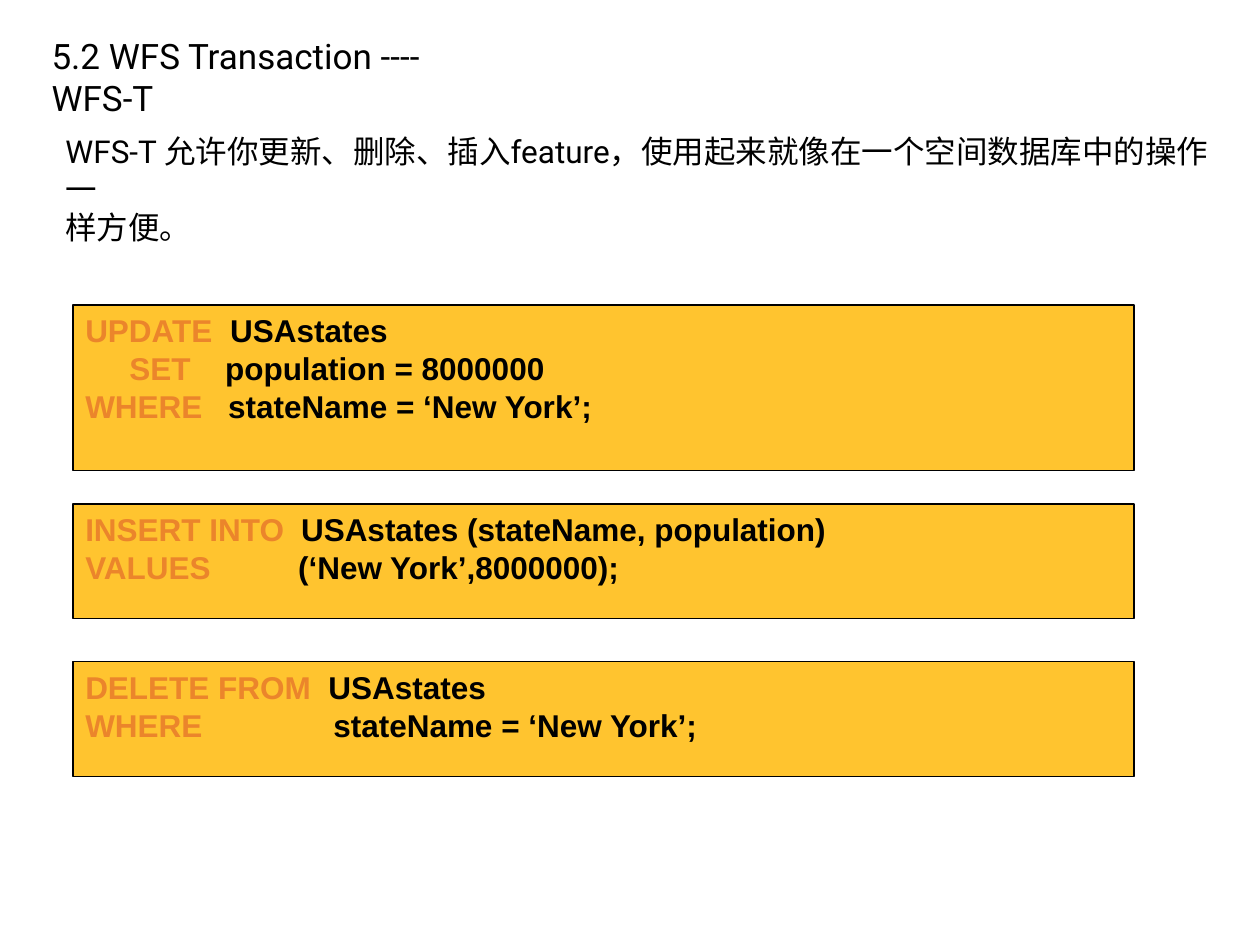
from dataclasses import dataclass

from lxml import etree
from pptx import Presentation
from pptx.dml.color import RGBColor
from pptx.enum import shapes, text
from pptx.oxml.ns import qn
from pptx.util import Cm, Pt


@dataclass(frozen=True)
class Theme:
    ink: str = "000000"
    keyword: str = "EB852B"
    panel: str = "FFC42F"
    heading_font: str = "Roboto"
    code_font: str = "Arial"
    title_size: int = 20
    body_size: int = 18
    line_width: float = 0.75


theme = Theme()

# Content: lengths in cm
title = ["5.2 WFS Transaction ----WFS-T"]
introduction = ["WFS-T 允许你更新、删除、插入feature，使用起来就像在一个空间数据库中的操作一", "样方便。"]

# Each statement: top, height, lines of (tab stops, keyword, rest)
statements = [
    (6.15, 3.33, [
        ([2.92], "UPDATE", "\tUSAstates"),
        ([0.89, 2.82], "\tSET", "\tpopulation = 8000000"),
        ([2.88], "WHERE", "\tstateName = ‘New York’;"),
    ]),
    (10.16, 2.31, [
        ([4.35], "INSERT INTO", "\tUSAstates (stateName, population)"),
        ([4.29], "VALUES", "\t(‘New York’,8000000);"),
    ]),
    (13.34, 2.31, [
        ([4.9], "DELETE FROM", "\tUSAstates"),
        ([5.0], "WHERE", "\tstateName = ‘New York’;"),
    ]),
]
PANEL_LEFT, PANEL_WIDTH = 1.47, 21.39


def add_run(paragraph, words, *, size, font, color=theme.ink, bold=False):
    run = paragraph.add_run()
    run.text = words
    run.font.size = Pt(size)
    run.font.name = font
    run.font.bold = bold
    run.font.color.rgb = RGBColor.from_string(color)


def set_tab_stops(paragraph, stops):
    properties = paragraph._p.get_or_add_pPr()
    tab_list = etree.SubElement(properties, qn("a:tabLst"))
    for stop in stops:
        etree.SubElement(tab_list, qn("a:tab"), pos=str(int(Cm(stop))), algn="l")


def prepare_paragraphs(shape, count):
    frame = shape.text_frame
    frame.word_wrap = True
    frame.vertical_anchor = text.MSO_ANCHOR.TOP
    for _ in range(count - 1):
        frame.add_paragraph()
    for paragraph in frame.paragraphs:
        paragraph.alignment = text.PP_ALIGN.LEFT
    return frame.paragraphs


def add_text_box(slide, lines, place, size):
    box = slide.shapes.add_textbox(*map(Cm, place))
    for paragraph, line in zip(prepare_paragraphs(box, len(lines)), lines):
        add_run(paragraph, line, size=size, font=theme.heading_font)


def add_statement(slide, top, height, lines):
    panel = slide.shapes.add_shape(
        shapes.MSO_SHAPE.RECTANGLE, Cm(PANEL_LEFT), Cm(top), Cm(PANEL_WIDTH), Cm(height))
    panel.shadow.inherit = False
    panel.fill.solid()
    panel.fill.fore_color.rgb = RGBColor.from_string(theme.panel)
    panel.line.color.rgb = RGBColor.from_string(theme.ink)
    panel.line.width = Pt(theme.line_width)
    style = dict(size=theme.body_size, font=theme.code_font, bold=True)
    for paragraph, (stops, keyword, rest) in zip(prepare_paragraphs(panel, len(lines)), lines):
        set_tab_stops(paragraph, stops)
        add_run(paragraph, keyword, color=theme.keyword, **style)
        add_run(paragraph, rest, **style)


# Slide
presentation = Presentation()
presentation.slide_width, presentation.slide_height = Cm(25.4), Cm(19.05)
slide = presentation.slides.add_slide(presentation.slide_layouts[6])

# Heading and introduction
add_text_box(slide, title, (0.79, 0.58, 9.22, 1.12), theme.title_size)
add_text_box(slide, introduction, (1.07, 2.54, 24.08, 1.8), theme.body_size)

# SQL statements
for top, height, lines in statements:
    add_statement(slide, top, height, lines)

presentation.save("out.pptx")
